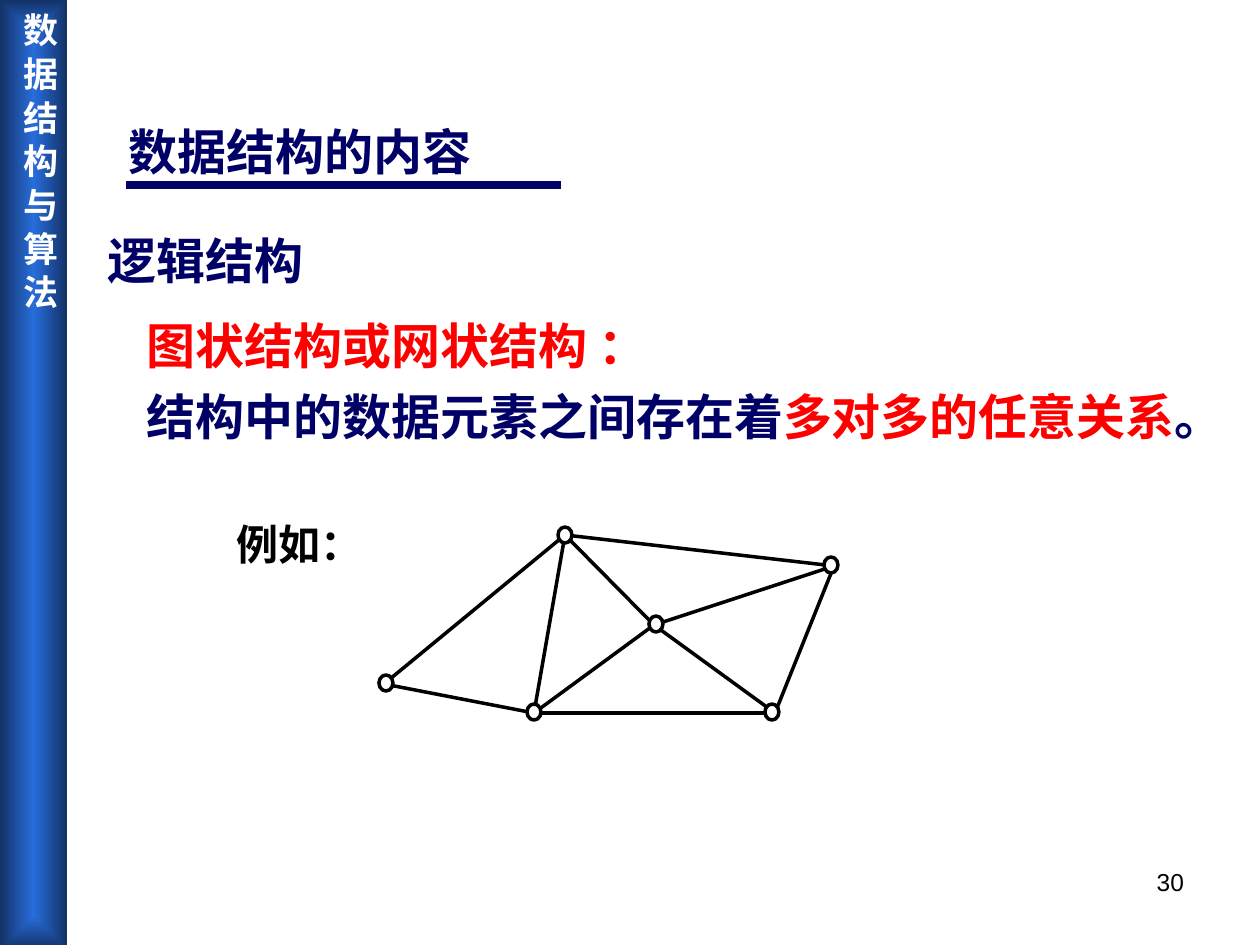
from lxml.etree import SubElement
from pptx import Presentation
from pptx.dml.color import RGBColor
from pptx.enum.shapes import MSO_CONNECTOR as Connector, MSO_SHAPE as Shape
from pptx.enum.text import MSO_ANCHOR as Anchor, PP_ALIGN as Align
from pptx.oxml import parse_xml
from pptx.oxml.ns import nsdecls, qn
from pptx.util import Emu, Pt

NAVY = RGBColor(0x00, 0x00, 0x66)
RED = RGBColor(0xFF, 0x00, 0x00)
BLACK = RGBColor(0x00, 0x00, 0x00)
WHITE = RGBColor(0xFF, 0xFF, 0xFF)
BAR_LIGHT = RGBColor(0x28, 0x6D, 0xDC)
BAR_DARK = RGBColor(0x13, 0x32, 0x66)
CJK = "Noto Sans CJK SC"


def px(*lengths):
    return [Emu(round(length * 914400 / 126)) for length in lengths]


def write(box, *pieces, size=28, bold=True, align=Align.LEFT, margins=(13, 6), wrap=False, font="Arial"):
    frame = box.text_frame
    frame.word_wrap = wrap
    frame.vertical_anchor = Anchor.TOP
    frame.margin_left, frame.margin_top = px(*margins)
    frame.margin_right, frame.margin_bottom = px(*margins)
    para = frame.paragraphs[0]
    para.alignment = align
    for text, color in pieces:
        span = para.add_run()
        span.text = text
        span.font.name = font
        span.font.size = Pt(size)
        span.font.bold = bold
        span.font.color.rgb = color
        SubElement(span.font._element, qn("a:ea")).set("typeface", CJK)


def draw_line(shapes, start, end, color, width):
    line = shapes.add_connector(Connector.STRAIGHT, *px(*start, *end))
    line.line.color.rgb = color
    line.line.width = Pt(width)
    SubElement(line._element.spPr, qn("a:effectLst"))


deck = Presentation()
deck.slide_width, deck.slide_height = px(1260, 945)
page = deck.slides.add_slide(deck.slide_layouts[5])
shapes = page.shapes

sidebar = shapes.add_shape(Shape.RECTANGLE, *px(0, 0, 67, 949))
sidebar.shadow.inherit = False
sidebar.line.fill.background()
sidebar.fill.background()
gradient = parse_xml(
    f'<a:gradFill {nsdecls("a")} rotWithShape="1"><a:gsLst>'
    f'<a:gs pos="0"><a:srgbClr val="{BAR_LIGHT}"/></a:gs>'
    f'<a:gs pos="100000"><a:srgbClr val="{BAR_DARK}"/></a:gs></a:gsLst>'
    '<a:path path="rect"><a:fillToRect l="50000" t="50000" r="50000" b="50000"/></a:path>'
    '</a:gradFill>'
)
properties = sidebar._element.spPr
properties.replace(properties.find(qn("a:noFill")), gradient)
write(sidebar, ("数 据 结 构 与 算 法", WHITE), size=20, align=Align.CENTER,
      margins=(6, 13), wrap=True, font=CJK)
sidebar.text_frame._txBody.bodyPr.set("vert", "eaVert")

title = shapes.title
title.left, title.top, title.width, title.height = px(116, 115, 475, 72)
write(title, ("数据结构的内容", NAVY), wrap=True)
draw_line(shapes, (126, 185), (561, 185), NAVY, 4.25)

heading = shapes.add_textbox(*px(95, 224, 222, 72))
write(heading, ("逻辑结构", NAVY))
term = shapes.add_textbox(*px(134, 309, 532, 72))
write(term, ("图状结构或网状结构 ：", RED))
definition = shapes.add_textbox(*px(134, 381, 1108, 72))
write(definition, ("结构中的数据元素之间存在着", NAVY), ("多对多的任意关系", RED), ("。", NAVY))
page_number = shapes.add_textbox(*px(903, 861, 294, 66))
write(page_number, ("30", BLACK), size=14, bold=False, align=Align.RIGHT, wrap=True)

graph = shapes.add_group_shape().shapes
example = graph.add_textbox(*px(224, 513, 151, 63))
write(example, ("例如：", BLACK), size=24)

joints = {
    "top": (565, 535), "right": (834, 566), "center": (654, 625),
    "left": (384, 684), "bottom": (534, 713), "corner": (775, 713),
}
edges = [
    ("bottom", "corner"), ("left", "top"), ("top", "right"), ("right", "center"),
    ("top", "bottom"), ("left", "bottom"), ("top", "center"), ("bottom", "center"),
    ("right", "corner"), ("center", "corner"),
]
for start, end in edges:
    draw_line(graph, joints[start], joints[end], BLACK, 2)

for left, top in [(558, 527), (527, 704), (379, 675), (649, 616), (765, 704), (824, 557)]:
    node = graph.add_shape(Shape.OVAL, *px(left, top, 14, 16))
    node.shadow.inherit = False
    node.fill.solid()
    node.fill.fore_color.rgb = WHITE
    node.line.color.rgb = BLACK
    node.line.width = Pt(2)

deck.save("out.pptx")
